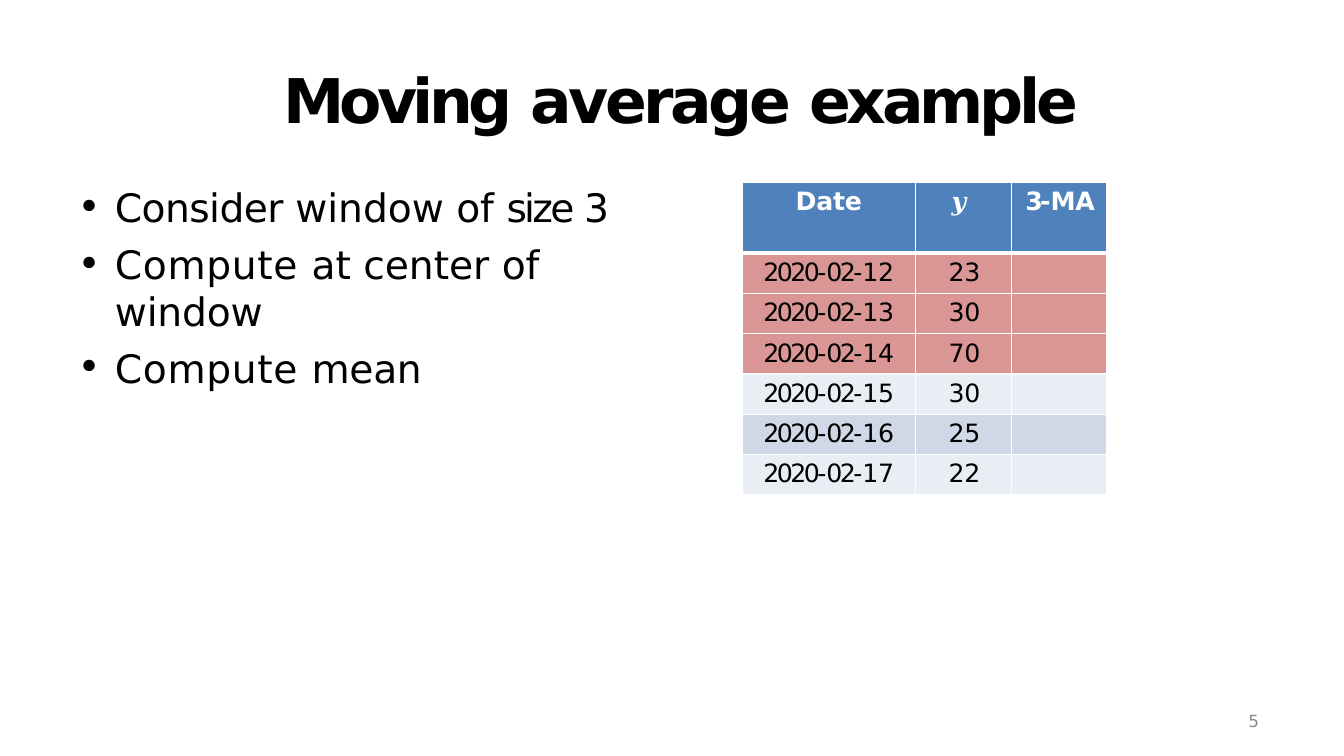
from lxml import etree
from pptx import Presentation
from pptx import util as u
from pptx.dml.color import RGBColor
from pptx.enum import text
from pptx.oxml import ns

PX = 9144  # EMU per px, 100 px to the inch
BLACK = RGBColor(0x00, 0x00, 0x00)
WHITE = RGBColor(0xFF, 0xFF, 0xFF)
GREY = RGBColor(0x89, 0x89, 0x89)
BLUE = RGBColor(0x4F, 0x81, 0xBD)
ROSE = RGBColor(0xD9, 0x96, 0x94)
PALE = RGBColor(0xE9, 0xED, 0xF4)
MIST = RGBColor(0xD0, 0xD8, 0xE8)
SANS = "DejaVu Sans"

deck = Presentation()
deck.slide_width, deck.slide_height = 1333 * PX, 750 * PX
slide = deck.slides.add_slide(deck.slide_layouts[6])


def write(para, runs, size, color, bold=False, font=SANS):
    """Add runs given as (words, letter spacing in points)."""
    form = {"name": font, "size": u.Pt(size), "bold": bold}
    for words, gap in runs:
        run = para.add_run()
        run.text = words
        for key, value in form.items():
            setattr(run.font, key, value)
        run.font.color.rgb = color
        run._r.get_or_add_rPr().set("spc", str(round(gap * 100)))


def add_box(left, top, width, height, inset):
    """Add a wrapping text box and return its frame."""
    frame = slide.shapes.add_textbox(*(n * PX for n in (left, top, width, height))).text_frame
    form = {"word_wrap": True, "margin_left": 0, "margin_right": 0,
            "margin_top": inset * PX, "margin_bottom": 0}
    for key, value in form.items():
        setattr(frame, key, value)
    return frame


# Title
title = add_box(77, 60, 1179, 69, 1).paragraphs[0]
title._p.get_or_add_pPr().set("marL", str(204 * PX))
write(title, [("Moving", -3.4), (" average ", -2.5), ("example", -3)], 44, BLACK, True)

# Bullet list
points = [
    (0, [("Consider ", -0.4), ("window of ", 0), ("size ", -1.9), ("3", -0.5)]),
    (7.2, [("Compute ", 0.5), ("at center of ", 0), ("window", -0.1)]),
    (6.5, [("Compute ", 0.5), ("mean", -0.2)]),
]
body = add_box(75, 171, 616, 172, 11)
for i, (space, runs) in enumerate(points):
    para = body.add_paragraph() if i else body.paragraphs[0]
    props = para._p.get_or_add_pPr()
    props.set("marL", str(39 * PX))
    props.set("indent", str(-37 * PX))
    etree.SubElement(props, ns.qn("a:buFont")).set("typeface", SANS)
    etree.SubElement(props, ns.qn("a:buChar")).set("char", "•")
    if space:
        para.space_before = u.Pt(space)
    write(para, runs, 28, BLACK)

# Table of values
days = [(12, 23, ROSE), (13, 30, ROSE), (14, 70, ROSE),
        (15, 30, PALE), (16, 25, MIST), (17, 22, PALE)]
widths = [172, 95, 95]
heights = [70] + [40] * len(days)
grid = slide.shapes.add_table(len(heights), len(widths), 736 * PX, 181 * PX,
                              sum(widths) * PX, sum(heights) * PX).table
grid.first_row = grid.horz_banding = False
for col, width in zip(grid.columns, widths):
    col.width = width * PX
for row, height in zip(grid.rows, heights):
    row.height = height * PX

# Cell frames and fills
fills = [BLUE] + [fill for _, _, fill in days]
for r, fill in enumerate(fills):
    for c in range(len(widths)):
        cell = grid.cell(r, c)
        cell.margin_left = cell.margin_right = cell.margin_bottom = 0
        cell.margin_top = 5 * PX
        props = cell._tc.get_or_add_tcPr()
        for side in "LRTB":
            thick = (r, side) in ((0, "B"), (1, "T"))
            line = etree.SubElement(props, ns.qn("a:ln" + side))
            line.set("w", str(u.Pt(3 if thick else 1)))
            paint = etree.SubElement(line, ns.qn("a:solidFill"))
            etree.SubElement(paint, ns.qn("a:srgbClr")).set("val", str(WHITE))
        cell.fill.solid()
        cell.fill.fore_color.rgb = fill

# Cell text: row, column, left indent (None is centred), runs, style
cells = [
    (0, 0, None, [("Date", -0.2)], (WHITE, True)),
    (0, 1, 36, [("𝒚", -0.5)], (WHITE, False, "Cambria")),
    (0, 2, 14, [("3-", -2), ("MA", -0.2)], (WHITE, True)),
]
for r, (day, value, _) in enumerate(days, 1):
    date = [("2020-", -1.8), ("02-", -1.9), (str(day), -0.2)]
    cells.append((r, 0, None, date, (BLACK,)))
    cells.append((r, 1, 33, [(str(value), -0.2)], (BLACK,)))
for r, c, indent, runs, style in cells:
    para = grid.cell(r, c).text_frame.paragraphs[0]
    if indent is None:
        para.alignment = text.PP_ALIGN.CENTER
    else:
        para._p.get_or_add_pPr().set("marL", str(indent * PX))
    write(para, runs, 18, *style)

# Page number
page = add_box(1234, 704, 28, 23, 1).paragraphs[0]
page._p.get_or_add_pPr().set("marL", str(4 * PX))
write(page, [("5", -0.2)], 12, GREY)

deck.save("out.pptx")
